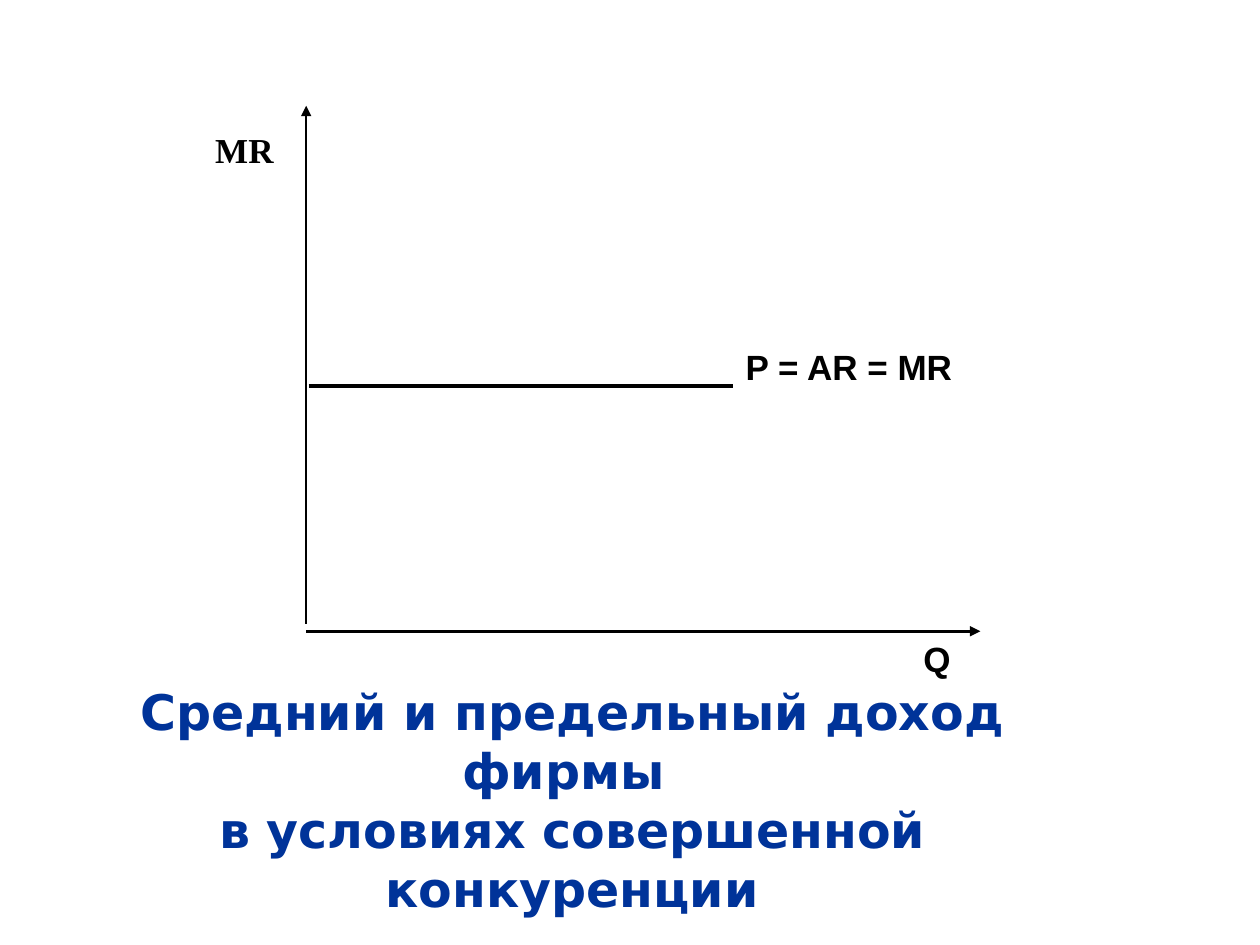
from dataclasses import dataclass

from lxml.etree import SubElement
from pptx import Presentation
from pptx.dml.color import RGBColor
from pptx.enum.shapes import MSO_CONNECTOR as Connector, MSO_SHAPE as Shape
from pptx.enum.text import MSO_ANCHOR as Anchor, PP_ALIGN as Align
from pptx.oxml.ns import qn
from pptx.util import Inches, Pt


@dataclass(frozen=True)
class Theme:
    black: RGBColor = RGBColor(0, 0, 0)
    white: RGBColor = RGBColor(255, 255, 255)
    blue: RGBColor = RGBColor(0x00, 0x33, 0x99)
    sans: str = "Arial"
    serif: str = "Times New Roman"
    title_font: str = "DejaVu Sans"
    label_size: Pt = Pt(20)
    title_size: Pt = Pt(28)
    axis_width: Pt = Pt(1.5)
    curve_width: Pt = Pt(2.25)


THEME = Theme()


def add_span(para, text, font, size, color):
    span = para.add_run()
    span.text = text
    span.font.name = font
    span.font.size = size
    span.font.bold = True
    span.font.color.rgb = color


def add_label(page, text, left, top, width, height, font=THEME.sans):
    box = page.shapes.add_shape(Shape.RECTANGLE, Inches(left), Inches(top),
                                Inches(width), Inches(height))
    box.shadow.inherit = False
    box.fill.solid()
    box.fill.fore_color.rgb = THEME.white
    box.line.fill.background()
    box.text_frame.vertical_anchor = Anchor.TOP
    para = box.text_frame.paragraphs[0]
    para.alignment = Align.LEFT
    add_span(para, text, font, THEME.label_size, THEME.black)


def add_line(page, start, end, width, arrow=False):
    x1, y1, x2, y2 = (Inches(value) for value in (*start, *end))
    line = page.shapes.add_connector(Connector.STRAIGHT, x1, y1, x2, y2)
    line.line.color.rgb = THEME.black
    line.line.width = width
    if arrow:
        SubElement(line.line._get_or_add_ln(), qn("a:tailEnd"), type="triangle")
    SubElement(line._element.spPr, qn("a:effectLst"))


def add_title(page, lines):
    box = page.shapes.add_textbox(Inches(0.42), Inches(5.17),
                                  Inches(8.24), Inches(2.17))
    frame = box.text_frame
    frame.word_wrap = True
    frame.vertical_anchor = Anchor.MIDDLE
    frame.margin_top = Inches(0.23)
    for index, text in enumerate(lines):
        para = frame.add_paragraph() if index else frame.paragraphs[0]
        para.alignment = Align.CENTER
        add_span(para, text, THEME.title_font, THEME.title_size, THEME.blue)


def main():
    deck = Presentation()
    deck.slide_width, deck.slide_height = Inches(10), Inches(7.5)
    page = deck.slides.add_slide(deck.slide_layouts[6])

    # Labels lie under the lines
    add_label(page, "P = AR = MR", 5.82, 2.69, 2.33, 0.56)
    add_label(page, "Q", 7.23, 5.01, 0.52, 0.56)
    add_label(page, "МR", 1.61, 0.97, 0.89, 0.55, THEME.serif)

    # Axes and the revenue line
    axis_x, axis_y, price_y = 2.43, 5.01, 3.06
    add_line(page, (axis_x, 4.95), (axis_x, 0.84), THEME.axis_width, arrow=True)
    add_line(page, (2.45, price_y), (5.82, price_y), THEME.curve_width)
    add_line(page, (axis_x, axis_y), (7.78, axis_y), THEME.axis_width, arrow=True)

    # Title below the graph
    add_title(page, ["Средний и предельный доход фирмы ",
                     "в условиях совершенной конкуренции"])
    deck.save("out.pptx")


if __name__ == "__main__":
    main()
